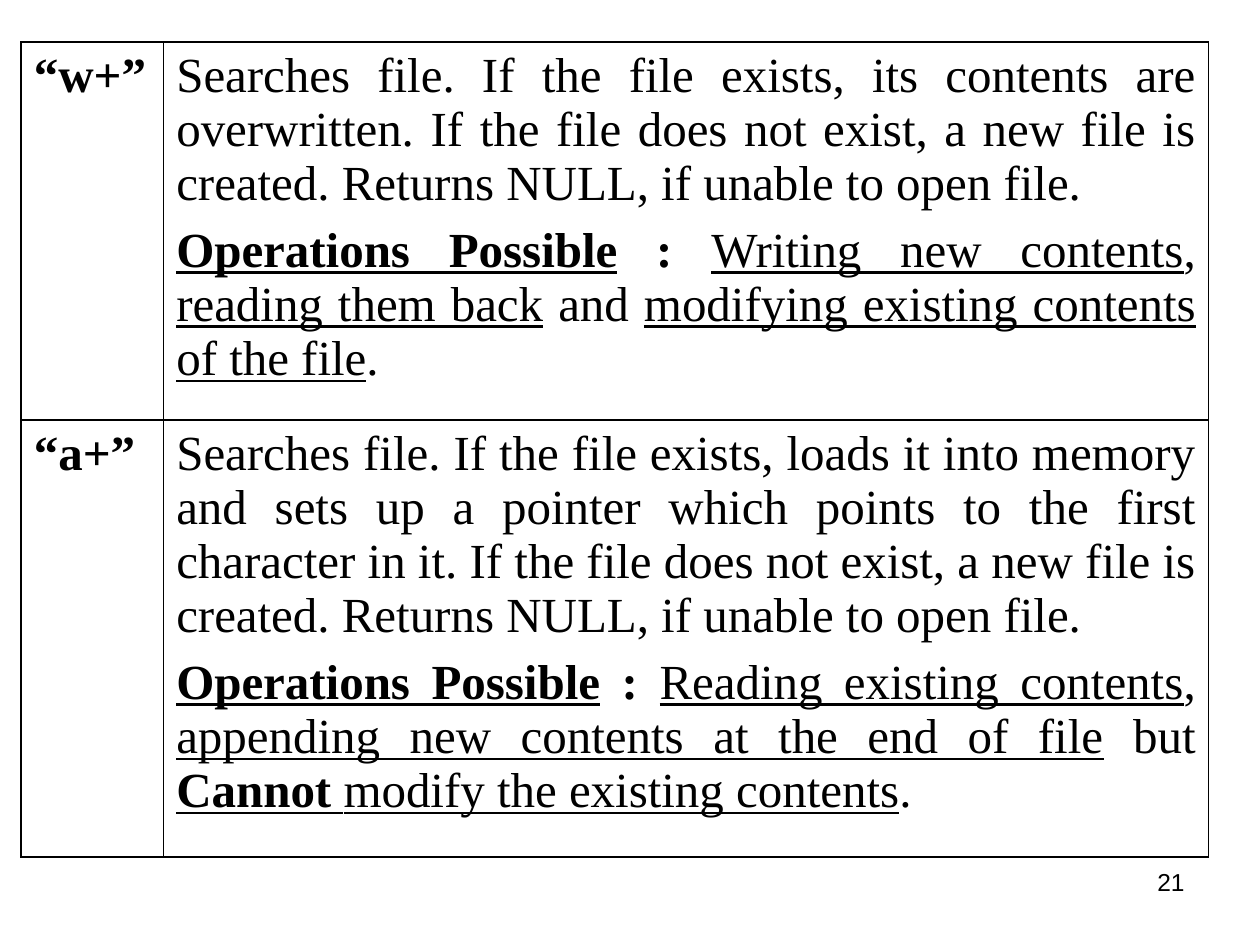
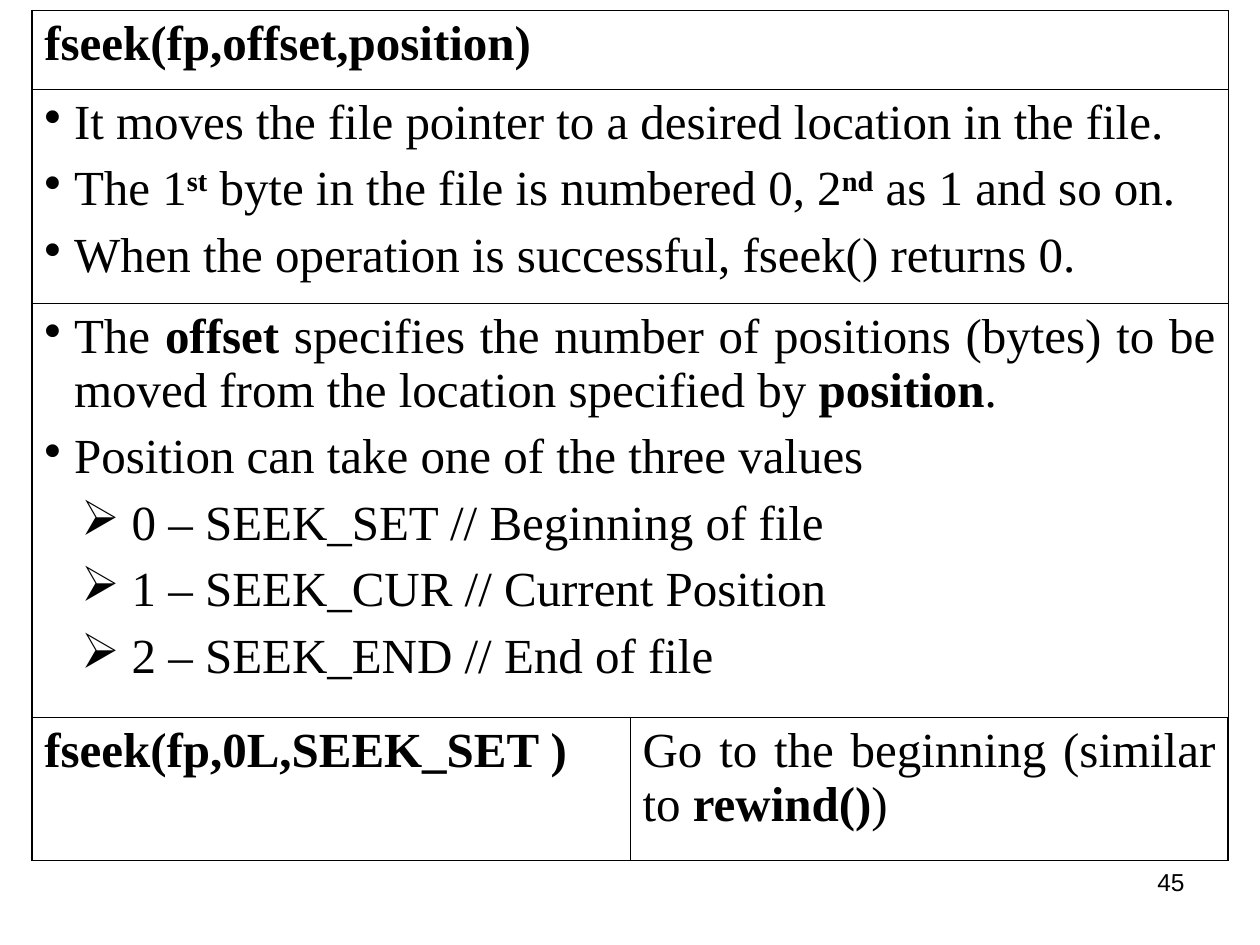
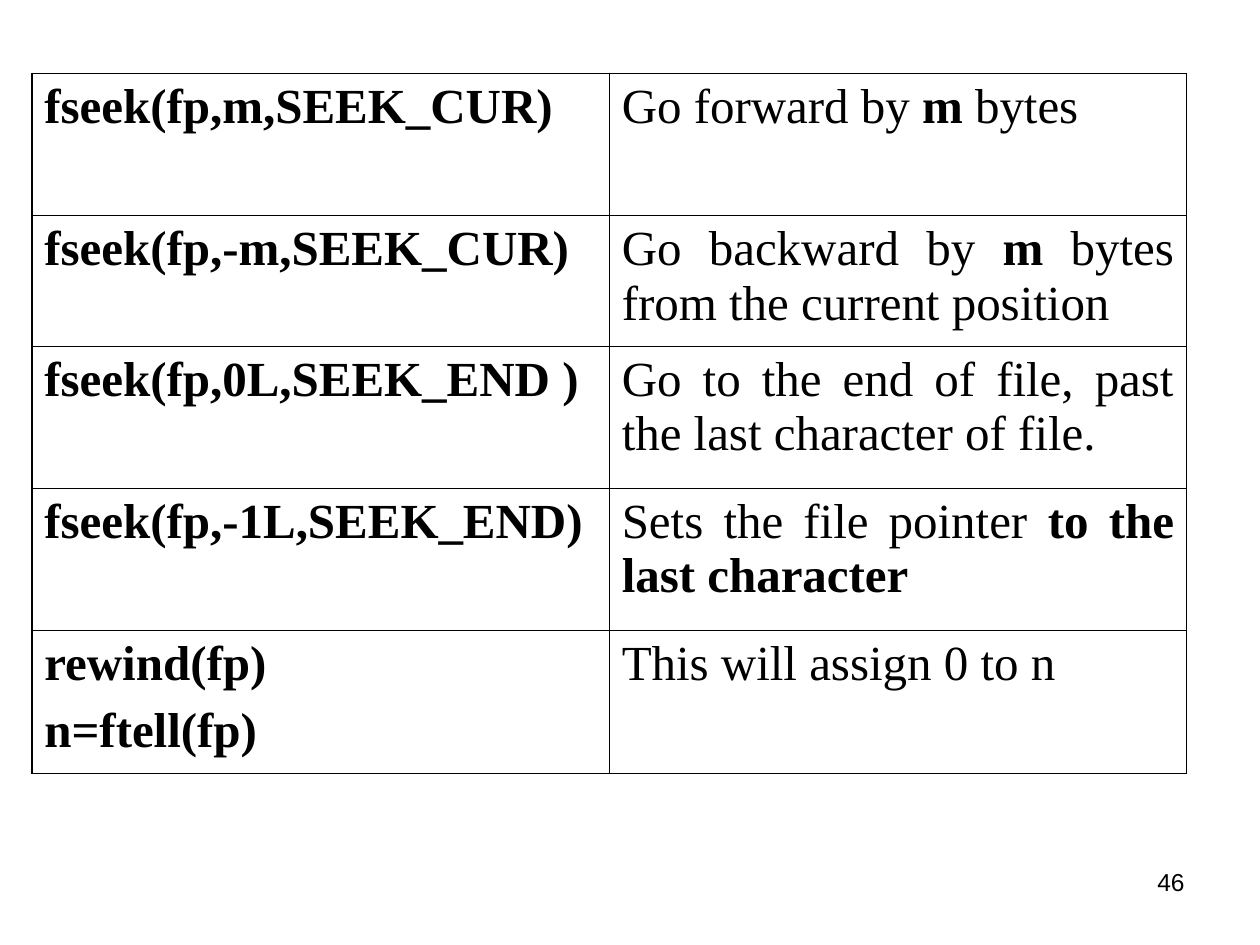
from dataclasses import dataclass

from pptx import Presentation
from pptx.dml.color import RGBColor as Rgb
from pptx.enum.text import PP_ALIGN as Align
from pptx.oxml.ns import qn
from pptx.util import Cm, Pt
from lxml.etree import SubElement as Sub


@dataclass(frozen=True)
class Theme:
    ink: str = "000000"
    serif: str = "Times New Roman"
    sans: str = "Arial"
    body: float = 28
    foot: float = 14
    gap: float = 7
    thin: float = 0.45
    thick: float = 1.08


T = Theme()

# Bullet kinds: sign, left margin and hang in cm
DOT = ("•", 0.6, 0.6)
ARROW = ("➢", 1.76, 1.02)


# Text: a run is a string or (string, style), with b bold, u underlined, ^ raised
def add_run(para, part, face=T.serif, size=T.body):
    text, style = (part, "") if isinstance(part, str) else part
    run = para.add_run()
    run.text = text
    font = run.font
    font.name, font.size = face, Pt(size)
    font.color.rgb = Rgb.from_string(T.ink)
    font.bold = "b" in style
    font.underline = "u" in style
    if "^" in style:
        run._r.get_or_add_rPr().set("baseline", "30000")


def add_mark(para, mark):
    sign, left, hang = mark
    props = para._p.get_or_add_pPr()
    props.set("marL", str(Cm(left)))
    props.set("indent", str(-Cm(hang)))
    color = Sub(props, qn("a:buClr"))
    Sub(color, qn("a:srgbClr"), val=T.ink)
    Sub(props, qn("a:buChar"), char=sign)


def fill_cell(cell, paras, align):
    """Each paragraph is (bullet kind or None, runs)."""
    frame = cell.text_frame
    for i, (mark, runs) in enumerate(paras):
        para = frame.add_paragraph() if i else frame.paragraphs[0]
        if mark:
            add_mark(para, mark)
        para.alignment = align
        para.space_before = Pt(T.gap if i else 0)
        for part in runs:
            add_run(para, part)


# Table: thick frame, inner lines thin unless a row line is given
def rule_cell(cell, sides):
    props = cell._tc.get_or_add_tcPr()
    for tag, width in sides.items():
        line = Sub(props, qn(f"a:{tag}"), w=str(Pt(width)))
        paint = Sub(line, qn("a:solidFill"))
        Sub(paint, qn("a:srgbClr"), val=T.ink)
    cell.fill.background()


def add_grid(slide, box, cols, highs, rows, split=T.thin):
    """A row with one cell spans all columns."""
    left, top = box
    frame = slide.shapes.add_table(
        len(highs), len(cols), Cm(left), Cm(top), Cm(sum(cols)), Cm(sum(highs)))
    table = frame.table
    table.first_row = table.horz_banding = False
    for col, wide in zip(table.columns, cols):
        col.width = Cm(wide)
    end, last = len(highs) - 1, len(cols) - 1
    for r, (high, row) in enumerate(zip(highs, rows)):
        table.rows[r].height = Cm(high)
        for c in range(len(cols)):
            rule_cell(table.cell(r, c), {
                "lnL": T.thin if c else T.thick,
                "lnR": T.thin if c < last else T.thick,
                "lnT": split if r else T.thick,
                "lnB": split if r < end else T.thick})
        if len(row) == 1:
            table.cell(r, 0).merge(table.cell(r, last))
        for c, paras in enumerate(row):
            plain = c == 0 and not paras[0][0]
            fill_cell(table.cell(r, c), paras, Align.LEFT if plain else Align.JUSTIFY)


# Page number
def add_foot(slide, number):
    box = slide.shapes.add_textbox(Cm(18.2), Cm(17.35), Cm(5.93), Cm(1.32))
    box.text_frame.word_wrap = True
    para = box.text_frame.paragraphs[0]
    para.alignment = Align.RIGHT
    add_run(para, str(number), T.sans, T.foot)


def add_page(deck, number):
    slide = deck.slides.add_slide(deck.slide_layouts[6])
    add_foot(slide, number)
    return slide


def say(*runs):
    return [(None, runs)]


def code(*lines):
    return [(None, [(line, "b")]) for line in lines]


def mode(name, text, *runs):
    """Row for one file mode with its possible operations."""
    label = [("Operations Possible", "bu"), (" : ", "b")]
    return [code(name), [(None, [text]), (None, label + list(runs))]]


# File modes
def show_modes(deck):
    tail = "If the file does not exist, a new file is created. Returns NULL, if unable to open file."
    rows = [
        mode("“w+”", f"Searches file. If the file exists, its contents are overwritten. {tail}",
             ("Writing new contents", "u"), ", ", ("reading them back", "u"), " and ",
             ("modifying existing contents of the file", "u"), "."),
        mode("“a+”", "Searches file. If the file exists, loads it into memory and sets up a "
             f"pointer which points to the first character in it. {tail}",
             ("Reading existing contents", "u"), ", ",
             ("appending new contents at the end of file", "u"), " but", (" ", "u"),
             ("Cannot ", "bu"), ("modify the existing contents", "u"), "."),
    ]
    add_grid(add_page(deck, 21), (0.43, 0.85), [2.87, 21.06], [7.62, 8.81], rows, T.thick)


# The fseek function
def show_seek(deck):
    facts = [
        (DOT, ["It moves the file pointer to a desired location in the file."]),
        (DOT, ["The 1", ("st", "b^"), " byte in the file is numbered 0, 2",
               ("nd", "b^"), " as 1 and so on."]),
        (DOT, ["When the operation is successful, fseek() returns 0."]),
    ]
    args = [
        (DOT, ["The ", ("offset", "b"), " specifies the number of positions (bytes) to be "
               "moved from the location specified by ", ("position", "b"), "."]),
        (DOT, ["Position can take one of the three values"]),
    ]
    spots = ["SEEK_SET // Beginning of file", "SEEK_CUR // Current Position",
             "SEEK_END // End of file"]
    args += [(ARROW, [f"{i} – {spot}"]) for i, spot in enumerate(spots)]
    rows = [
        [code("fseek(fp,offset,position)")],
        [facts],
        [args],
        [code("fseek(fp,0L,SEEK_SET )"),
         say("Go to the beginning (similar to ", ("rewind()", "b"), ")")],
    ]
    add_grid(add_page(deck, 45), (0.64, 0.21), [12.06] * 2, [1.59, 4.31, 8.36, 2.88], rows)


# Sample calls
def show_calls(deck):
    rows = [
        [code("fseek(fp,m,SEEK_CUR)"), say("Go forward by ", ("m", "b"), " bytes")],
        [code("fseek(fp,-m,SEEK_CUR)"),
         say("Go backward by ", ("m", "b"), " bytes from the current position")],
        [code("fseek(fp,0L,SEEK_END )"),
         say("Go to the end of file, past the last character of file.")],
        [code("fseek(fp,-1L,SEEK_END)"),
         say("Sets the file pointer ", ("to the last character", "b"))],
        [code("rewind(fp)", "n=ftell(fp)"), say("This will assign 0 to n")],
    ]
    highs = [2.87, 2.62] + [2.87] * 3
    add_grid(add_page(deck, 46), (0.64, 1.48), [11.64] * 2, highs, rows)


def main():
    deck = Presentation()
    deck.slide_width, deck.slide_height = Cm(25.4), Cm(19.05)
    show_modes(deck)
    show_seek(deck)
    show_calls(deck)
    deck.save("out.pptx")


if __name__ == "__main__":
    main()
